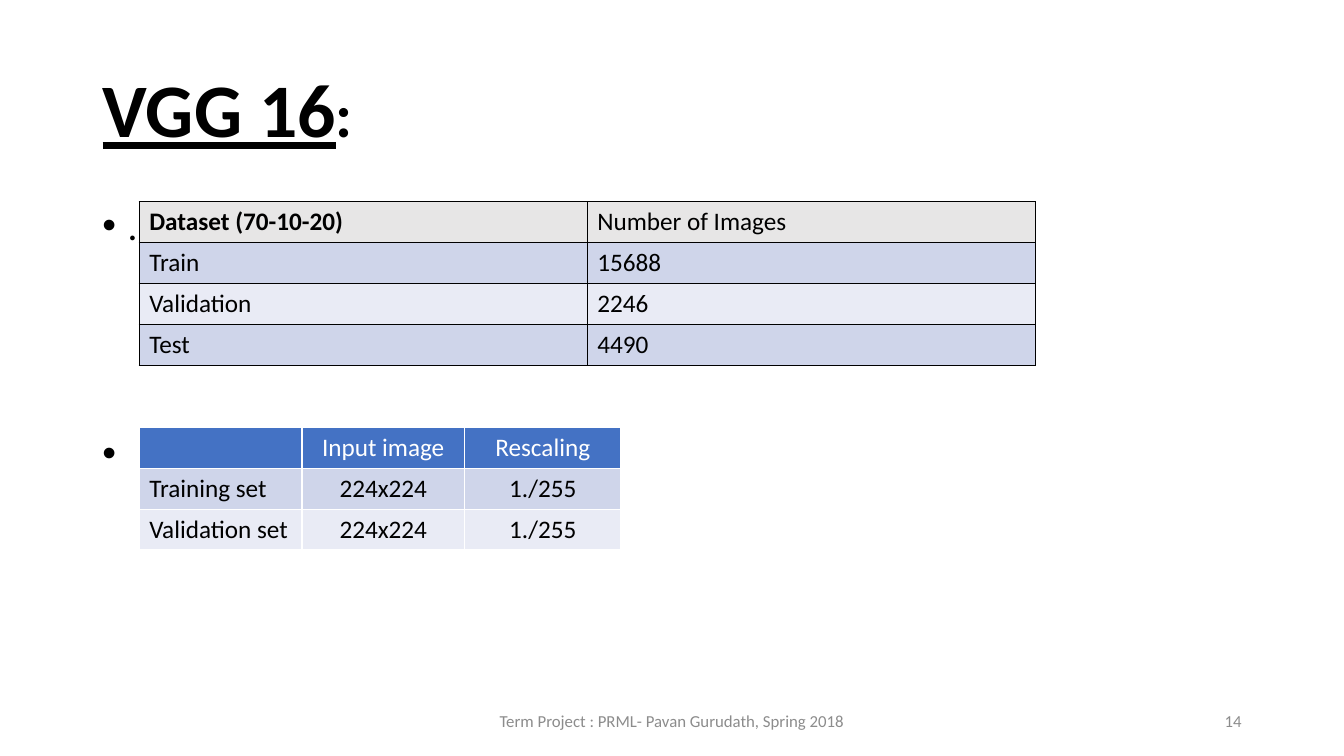
from lxml.etree import SubElement
from pptx import Presentation
from pptx.dml.color import RGBColor
from pptx.enum.text import MSO_ANCHOR, MSO_AUTO_SIZE, PP_ALIGN
from pptx.oxml.ns import qn
from pptx.util import Cm, Pt

BLACK = RGBColor(0x00, 0x00, 0x00)
WHITE = RGBColor(0xFF, 0xFF, 0xFF)
GREY = RGBColor(0x8C, 0x8C, 0x8C)
PALE_GREY = RGBColor(0xE7, 0xE6, 0xE6)
BLUE = RGBColor(0x44, 0x72, 0xC4)
BANDS = (RGBColor(0xCF, 0xD5, 0xEA), RGBColor(0xE9, 0xEB, 0xF5))
ROW_HEIGHT = Cm(1.03)

DATASET_ROWS = [
    ("Dataset (70-10-20)", "Number of Images"),
    ("Train", "15688"),
    ("Validation", "2246"),
    ("Test", "4490"),
]
INPUT_ROWS = [
    ("", "Input image", "Rescaling"),
    ("Training set", "224x224", "1./255"),
    ("Validation set", "224x224", "1./255"),
]


def format_font(font, color, **values):
    """Apply Calibri, a colour and the given font values."""
    for name, value in {"name": "Calibri", **values}.items():
        setattr(font, name, value)
    font.color.rgb = color


def format_frame(frame, anchor):
    """Give a text frame wrapping, no autofit and an anchor."""
    values = {"word_wrap": True, "auto_size": MSO_AUTO_SIZE.NONE, "vertical_anchor": anchor}
    for name, value in values.items():
        setattr(frame, name, value)


def add_title(slide, left, top, width, height):
    """Place the title with its underlined heading and plain colon."""
    title = slide.shapes.title
    box = {"left": left, "top": top, "width": width, "height": height}
    for name, value in box.items():
        setattr(title, name, value)
    format_frame(title.text_frame, MSO_ANCHOR.MIDDLE)
    paragraph = title.text_frame.paragraphs[0]
    paragraph.alignment = PP_ALIGN.LEFT
    paragraph.line_spacing = 0.9
    for text, size, underline in (("VGG 16", 54, True), (":", 44, False)):
        run = paragraph.add_run()
        run.text = text
        format_font(run.font, BLACK, size=Pt(size), bold=True, underline=underline)


def add_bullets(slide, left, top, width, height):
    """Add the two bullets that stand beside the tables."""
    frame = slide.shapes.add_textbox(left, top, width, height).text_frame
    format_frame(frame, MSO_ANCHOR.TOP)
    frame.text = ".\n "
    for paragraph, gap in zip(frame.paragraphs, (0, 132)):
        properties = paragraph._p.get_or_add_pPr()
        properties.set("marL", str(Cm(0.64)))
        properties.set("indent", str(-Cm(0.64)))
        SubElement(properties, qn("a:buFont"), typeface="Arial")
        SubElement(properties, qn("a:buChar"), char="•")
        paragraph.line_spacing = 0.9
        paragraph.space_before = Pt(gap)
        format_font(paragraph.runs[0].font, BLACK, size=Pt(28))


def add_footer_text(slide, text, alignment, left, top, width, height):
    """Add one grey line of footer text."""
    frame = slide.shapes.add_textbox(left, top, width, height).text_frame
    format_frame(frame, MSO_ANCHOR.MIDDLE)
    paragraph = frame.paragraphs[0]
    paragraph.text = text
    paragraph.alignment = alignment
    format_font(paragraph.runs[0].font, GREY, size=Pt(12))


def add_borders(cell, color):
    """Draw a one-point line on each side of a cell."""
    properties = cell._tc.get_or_add_tcPr()
    for side in ("lnL", "lnR", "lnT", "lnB"):
        line = SubElement(properties, qn(f"a:{side}"), w=str(Pt(1)))
        SubElement(SubElement(line, qn("a:solidFill")), qn("a:srgbClr"), val=str(color))


def add_grid(slide, rows, left, top, widths, border, header_fill, header_color,
             bold_corner=False, centred=False):
    """Add a banded table whose first row is a header."""
    frame = slide.shapes.add_table(
        len(rows), len(widths), left, top, sum(widths), ROW_HEIGHT * len(rows))
    table = frame.table
    for column, width in zip(table.columns, widths):
        column.width = width
    for row_index, texts in enumerate(rows):
        table.rows[row_index].height = ROW_HEIGHT
        header = row_index == 0
        for column_index, text in enumerate(texts):
            cell = table.cell(row_index, column_index)
            add_borders(cell, border)
            cell.fill.solid()
            cell.fill.fore_color.rgb = header_fill if header else BANDS[(row_index - 1) % 2]
            cell.text = text
            paragraph = cell.text_frame.paragraphs[0]
            if centred and column_index:
                cell.vertical_anchor = MSO_ANCHOR.MIDDLE
                paragraph.alignment = PP_ALIGN.CENTER
            bold = bold_corner and header and column_index == 0
            color = header_color if header else BLACK
            for run in paragraph.runs:
                format_font(run.font, color, size=Pt(18), bold=bold)


def main():
    """Build and save the slide."""
    presentation = Presentation()
    presentation.slide_width, presentation.slide_height = Cm(33.87), Cm(19.05)
    slide = presentation.slides.add_slide(presentation.slide_layouts[5])
    add_title(slide, Cm(2.33), Cm(1.02), Cm(29.21), Cm(3.68))
    add_bullets(slide, Cm(2.33), Cm(5.08), Cm(29.54), Cm(12.95))
    add_footer_text(slide, "Term Project : PRML- Pavan Gurudath, Spring 2018",
                    PP_ALIGN.CENTER, Cm(11.22), Cm(17.65), Cm(11.43), Cm(1.02))
    add_footer_text(slide, "14", PP_ALIGN.RIGHT, Cm(23.92), Cm(17.65), Cm(7.62), Cm(1.02))
    add_grid(slide, DATASET_ROWS, Cm(3.51), Cm(5.08), [Cm(11.29)] * 2,
             BLACK, PALE_GREY, BLACK, bold_corner=True)
    add_grid(slide, INPUT_ROWS, Cm(3.51), Cm(10.77), [Cm(4.1), Cm(4.1), Cm(3.94)],
             WHITE, BLUE, WHITE, centred=True)
    presentation.save("out.pptx")


if __name__ == "__main__":
    main()
